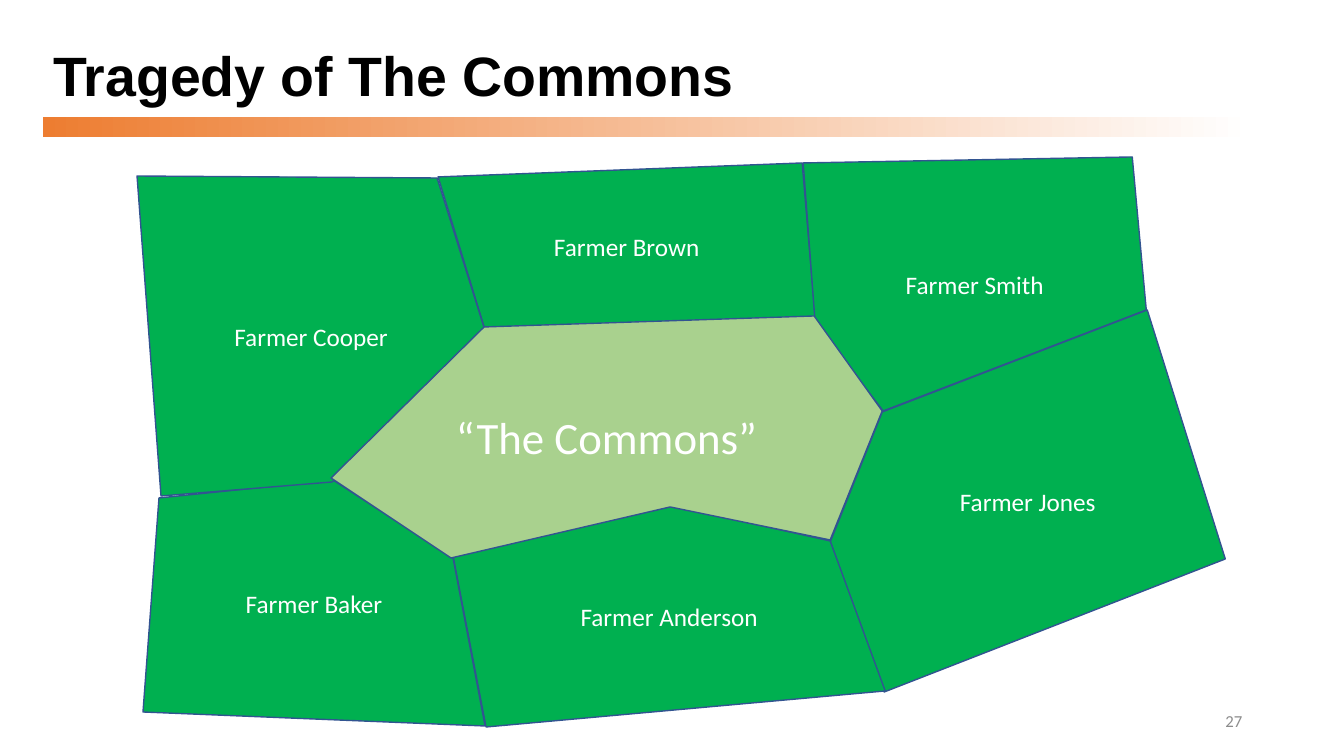
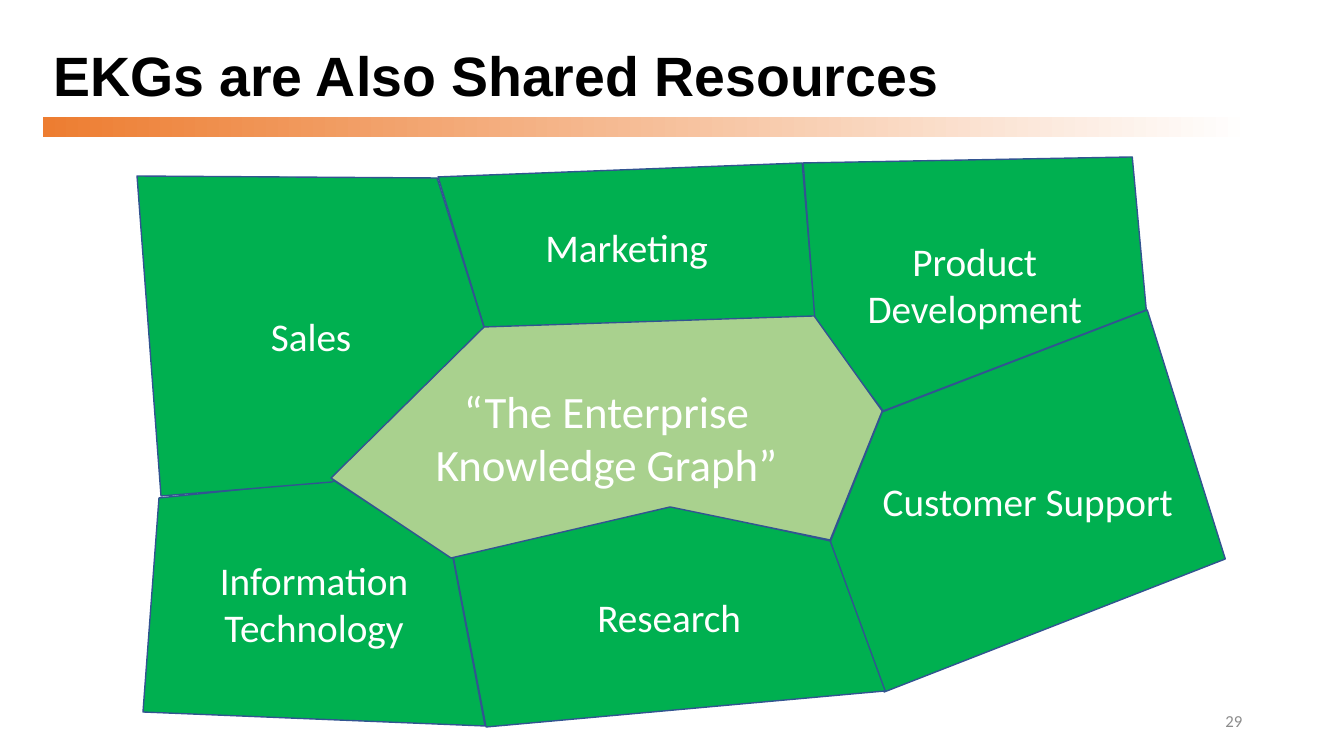
from pptx import Presentation
from pptx import util as u
from pptx.dml.color import RGBColor
from pptx.enum import shapes, text

PIXEL = 914400 / 100.8
BLACK, WHITE, GREY = "000000", "FFFFFF", "8C8C8C"
ORANGE, GREEN, LIGHT_GREEN, BORDER = "ED7D31", "00B050", "A9D18E", "325491"
TITLE_ONLY = 5

FIELDS = {
    "north": [(438, 177), (802, 163), (815, 317), (485, 330)],
    "northeast": [(803, 163), (1132, 157), (1146, 310), (883, 411), (815, 323)],
    "east": [(882, 412), (1147, 310), (1225, 559), (884, 692), (830, 542)],
    "south": [(673, 506), (830, 541), (885, 691), (486, 727), (453, 556)],
    "southwest": [(333, 480), (453, 558), (485, 726), (143, 712), (159, 498)],
    "northwest": [(437, 178), (485, 331), (332, 482), (161, 496), (137, 176)],
}
COMMONS = [(484, 327), (814, 316), (882, 411), (830, 540), (670, 507), (451, 558), (331, 478)]

SLIDES = [
    {
        "title": "Tragedy of The Commons",
        "number": "27",
        "size": 18,
        "owners": {
            "north": ["Farmer Brown"],
            "northeast": ["Farmer Smith"],
            "east": ["Farmer Jones"],
            "south": ["Farmer Anderson"],
            "southwest": ["Farmer Baker"],
            "northwest": ["Farmer Cooper"],
        },
        "commons": ["“The Commons”"],
    },
    {
        "title": "EKGs are Also Shared Resources",
        "number": "29",
        "size": 28,
        "owners": {
            "north": ["Marketing"],
            "northeast": ["Product Development"],
            "east": ["Customer Support"],
            "south": ["Research"],
            "southwest": ["Information", "Technology"],
            "northwest": ["Sales"],
        },
        "commons": ["“The Enterprise", "Knowledge Graph”"],
    },
]


def px(*values):
    return [u.Emu(round(value * PIXEL)) for value in values]


def color(value):
    return RGBColor.from_string(value)


def write(shape, lines, size, ink, align, font="Calibri", bold=False, spacing=None):
    frame = shape.text_frame
    frame.word_wrap = True
    frame.auto_size = text.MSO_AUTO_SIZE.NONE
    frame.vertical_anchor = text.MSO_ANCHOR.MIDDLE
    for index, line in enumerate(lines):
        paragraph = frame.add_paragraph() if index else frame.paragraphs[0]
        paragraph.alignment = align
        paragraph.line_spacing = spacing
        run = paragraph.add_run()
        run.text = line
        run.font.name = font
        run.font.size = u.Pt(size)
        run.font.bold = bold
        run.font.color.rgb = color(ink)


def prepare_layout(layout, slide):
    title = layout.placeholders[0]
    title.left, title.top, title.width, title.height = px(43, 40, 1208, 77)
    band = slide.shapes.add_shape(shapes.MSO_SHAPE.RECTANGLE, *px(43, 117, 1208, 20))
    band.shadow.inherit = False
    band.line.fill.background()
    band.fill.gradient()
    band.fill.gradient_angle = 0
    for stop, value in zip(band.fill.gradient_stops, (ORANGE, WHITE)):
        stop.color.rgb = color(value)
    layout.shapes.element.insert(2, band.element)


def add_title(slide, wording):
    write(slide.shapes.title, [wording], 39.6, BLACK, text.PP_ALIGN.LEFT, "Arial", True, 0.9)


def add_number(slide, number):
    box = slide.shapes.add_textbox(*px(950, 701, 302, 40))
    write(box, [number], 12, GREY, text.PP_ALIGN.RIGHT)


def add_field(slide, corners, fill, lines, size):
    builder = slide.shapes.build_freeform(*corners[0], scale=PIXEL)
    builder.add_line_segments(corners[1:], close=True)
    field = builder.convert_to_shape()
    field.shadow.inherit = False
    field.fill.solid()
    field.fill.fore_color.rgb = color(fill)
    field.line.color.rgb = color(BORDER)
    field.line.width = u.Pt(1)
    write(field, lines, size, WHITE, text.PP_ALIGN.CENTER)


def main():
    presentation = Presentation()
    presentation.slide_width, presentation.slide_height = u.Inches(13.33), u.Inches(7.5)
    layout = presentation.slide_layouts[TITLE_ONLY]
    for index, content in enumerate(SLIDES):
        slide = presentation.slides.add_slide(layout)
        if index == 0:
            prepare_layout(layout, slide)
        add_title(slide, content["title"])
        add_number(slide, content["number"])
        for place, corners in FIELDS.items():
            add_field(slide, corners, GREEN, content["owners"][place], content["size"])
        add_field(slide, COMMONS, LIGHT_GREEN, content["commons"], 32)
    presentation.save("out.pptx")


main()
